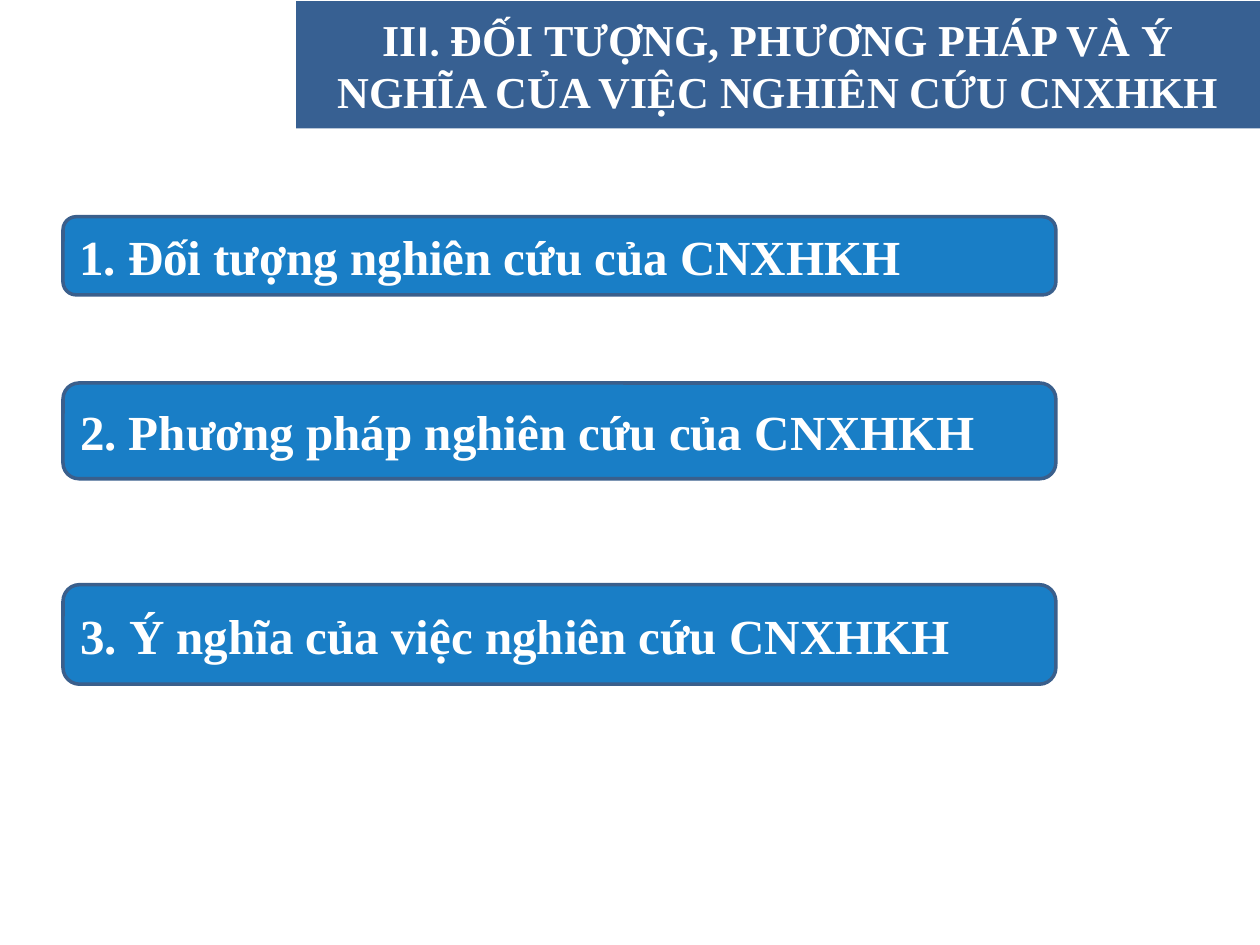
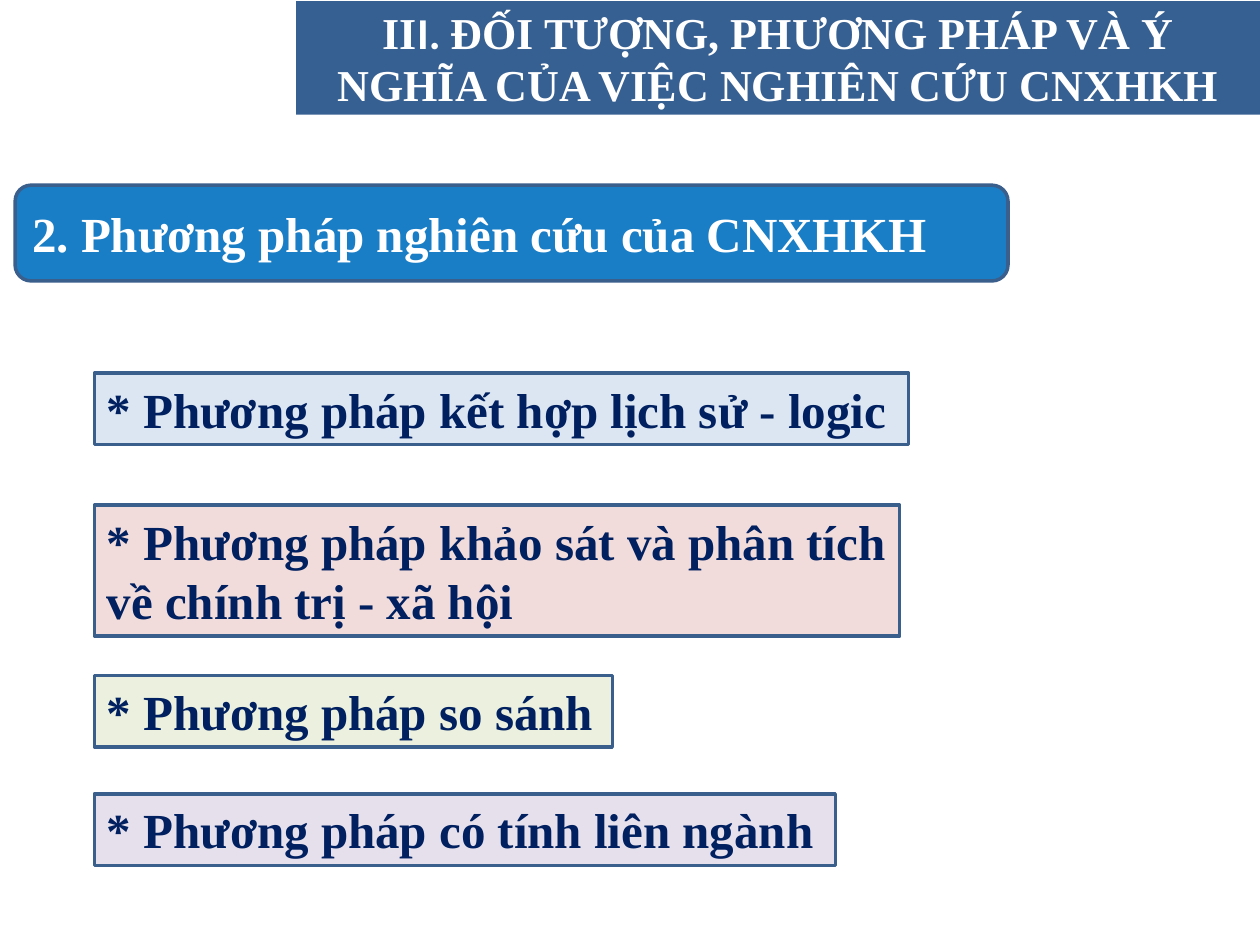
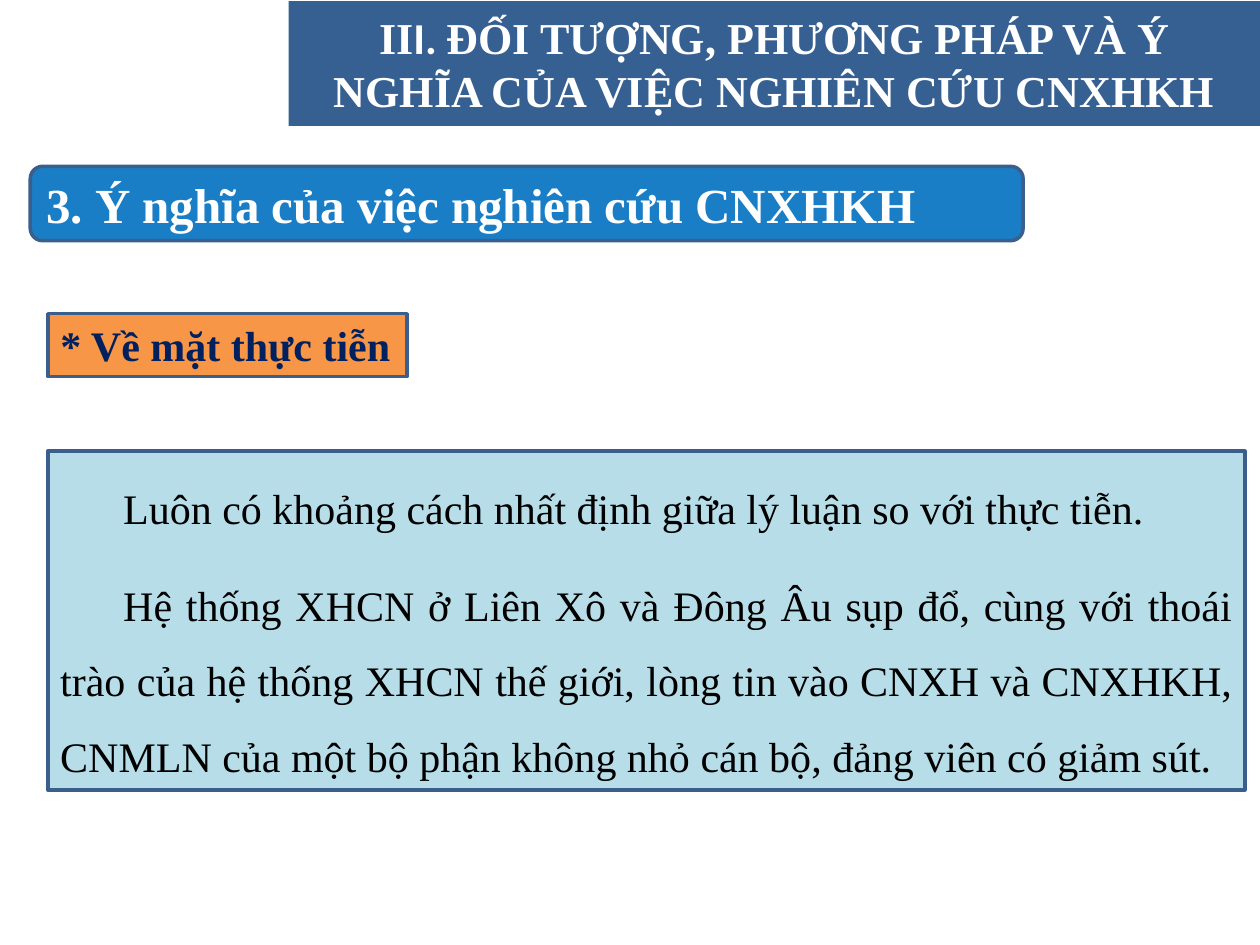
from dataclasses import dataclass

from lxml.etree import SubElement
from pptx import Presentation
from pptx.dml.color import RGBColor
from pptx.enum.shapes import MSO_SHAPE
from pptx.enum.text import MSO_ANCHOR, MSO_AUTO_SIZE, PP_ALIGN
from pptx.oxml.ns import qn
from pptx.util import Inches, Pt


@dataclass(frozen=True)
class Theme:
    font: str = "Times New Roman"
    numeral_font: str = "Calibri"
    band: str = "376092"
    bar: str = "0070C0"
    outline: str = "3A5F8C"
    white: str = "FFFFFF"
    navy: str = "002060"
    black: str = "000000"
    blue_tint: str = "DCE6F2"
    red_tint: str = "F2DCDB"
    green_tint: str = "EBF1DE"
    purple_tint: str = "E6E0EC"
    orange: str = "F79646"
    aqua: str = "B7DEE8"
    title_size: float = 25.2
    heading_size: float = 28
    body_size: float = 24


theme = Theme()


def add_box(slide, kind, bounds, fill, paragraphs, size, color, bold=True, outlined=True):
    shape = slide.shapes.add_shape(kind, *[Inches(value) for value in bounds])
    shape.shadow.inherit = False
    shape.fill.solid()
    shape.fill.fore_color.rgb = RGBColor.from_string(fill)
    if outlined:
        shape.line.color.rgb = RGBColor.from_string(theme.outline)
        shape.line.width = Pt(2)
    else:
        shape.line.fill.background()
    frame = shape.text_frame
    frame.word_wrap = True
    frame.vertical_anchor = MSO_ANCHOR.MIDDLE
    for index, runs in enumerate(paragraphs):
        paragraph = frame.paragraphs[0] if index == 0 else frame.add_paragraph()
        paragraph.alignment = PP_ALIGN.LEFT
        for text, font_name in runs:
            run = paragraph.add_run()
            run.text = text
            run.font.name = font_name
            run.font.size = Pt(size)
            run.font.bold = bold
            run.font.color.rgb = RGBColor.from_string(color)
    return shape


def add_heading_bar(slide, left, top, height, text):
    bar = add_box(slide, MSO_SHAPE.ROUNDED_RECTANGLE, (left, top, 7.88, height),
                  theme.bar, [[(text, theme.font)]], theme.heading_size, theme.white)
    color = bar.fill._xPr.find(qn("a:solidFill"))[0]
    SubElement(color, qn("a:alpha"), val="90000")


presentation = Presentation()
presentation.slide_width = Inches(10)
presentation.slide_height = Inches(7.5)

title_runs = [
    ("II", theme.font),
    ("I. ", theme.numeral_font),
    ("ĐỐI TƯỢNG, PHƯƠNG PHÁP VÀ Ý NGHĨA CỦA VIỆC NGHIÊN CỨU CNXHKH", theme.font),
]
slides = []
for band_left, band_height in [(2.35, 1.01), (2.35, 0.9), (2.29, 0.99)]:
    slide = presentation.slides.add_slide(presentation.slide_layouts[6])
    band = add_box(slide, MSO_SHAPE.RECTANGLE, (band_left, 0.01, 10 - band_left, band_height),
                   theme.band, [title_runs], theme.title_size, theme.white, outlined=False)
    band.text_frame.paragraphs[0].alignment = PP_ALIGN.CENTER
    slides.append(slide)
outline_slide, methods_slide, meaning_slide = slides

object_heading = "1. Đối tượng nghiên cứu của CNXHKH"
methods_heading = "2. Phương pháp nghiên cứu của CNXHKH"
meaning_heading = "3. Ý nghĩa của việc nghiên cứu CNXHKH"

for slide, left, top, height, heading in [
    (outline_slide, 0.5, 1.72, 0.62, object_heading),
    (outline_slide, 0.5, 3.04, 0.76, methods_heading),
    (outline_slide, 0.5, 4.64, 0.79, meaning_heading),
    (methods_slide, 0.12, 1.47, 0.76, methods_heading),
    (meaning_slide, 0.24, 1.32, 0.59, meaning_heading),
]:
    add_heading_bar(slide, left, top, height, heading)

labels = [
    (methods_slide, (0.75, 2.96, 6.46, 0.57), theme.blue_tint, theme.heading_size, False,
     "* Phương pháp kết hợp lịch sử - logic"),
    (methods_slide, (0.75, 4.01, 6.39, 1.04), theme.red_tint, theme.heading_size, True,
     "* Phương pháp khảo sát và phân tích về chính trị - xã hội"),
    (methods_slide, (0.75, 5.36, 4.11, 0.57), theme.green_tint, theme.heading_size, False,
     "* Phương pháp so sánh"),
    (methods_slide, (0.75, 6.3, 5.88, 0.57), theme.purple_tint, theme.heading_size, False,
     "* Phương pháp có tính liên ngành"),
    (meaning_slide, (0.38, 2.49, 2.85, 0.5), theme.orange, theme.body_size, False,
     "* Về mặt thực tiễn"),
]
for slide, bounds, fill, size, wraps, text in labels:
    label = add_box(slide, MSO_SHAPE.RECTANGLE, bounds, fill, [[(text, theme.font)]],
                    size, theme.navy)
    label.text_frame.word_wrap = wraps
    label.text_frame.auto_size = MSO_AUTO_SIZE.SHAPE_TO_FIT_TEXT
    label.text_frame.vertical_anchor = MSO_ANCHOR.TOP

practice_texts = [
    "Luôn có khoảng cách nhất định giữa lý luận so với thực tiễn.",
    "Hệ thống XHCN ở Liên Xô và Đông Âu sụp đổ, cùng với thoái trào của hệ thống XHCN "
    "thế giới, lòng tin vào CNXH và CNXHKH, CNMLN của một bộ phận không nhỏ cán bộ, "
    "đảng viên có giảm sút.",
]
practice = add_box(meaning_slide, MSO_SHAPE.RECTANGLE, (0.38, 3.58, 9.5, 2.69), theme.aqua,
                   [[(text, theme.font)] for text in practice_texts],
                   theme.body_size, theme.black, bold=False)
practice.text_frame.vertical_anchor = MSO_ANCHOR.TOP
for index, paragraph in enumerate(practice.text_frame.paragraphs):
    paragraph.alignment = PP_ALIGN.JUSTIFY
    paragraph.line_spacing = 1.5
    paragraph.space_before = Pt(6 if index else 0)
    paragraph.space_after = Pt(6)
    paragraph._p.get_or_add_pPr().set("indent", str(Inches(0.5)))

presentation.save("out.pptx")
